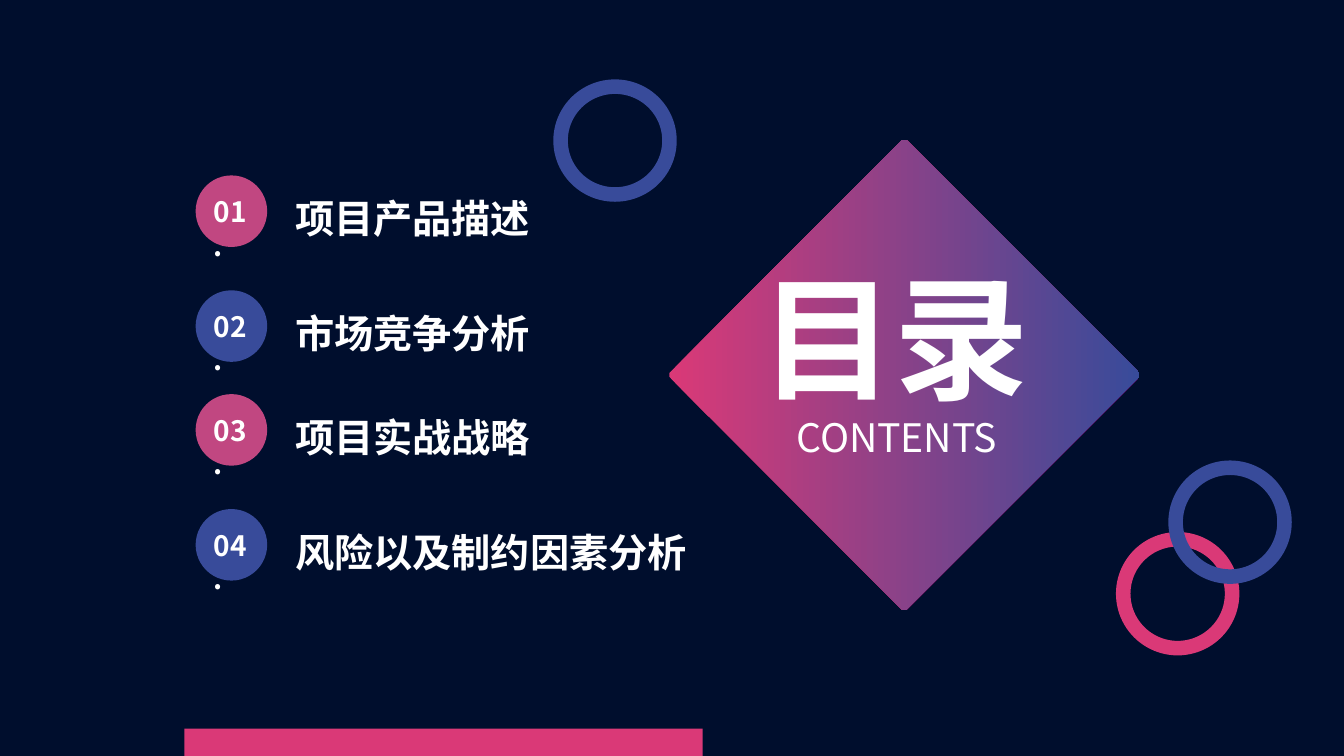
import dataclasses

import pptx
import pptx.dml.color
import pptx.enum.shapes
import pptx.enum.text
import pptx.oxml
import pptx.oxml.ns
import pptx.util

Inches = pptx.util.Inches
SHAPE = pptx.enum.shapes.MSO_SHAPE
ALIGN = pptx.enum.text.PP_ALIGN


@dataclasses.dataclass(frozen=True)
class Theme:
    font: str = "Noto Sans CJK SC"
    navy: str = "000E2D"
    pink: str = "DA3977"
    rose: str = "C14781"
    blue: str = "384B9A"
    white: str = "FFFFFF"
    title: int = 96
    body: int = 28
    label: int = 20
    ring: float = 10.38


@dataclasses.dataclass(frozen=True)
class Box:
    left: float
    top: float
    width: float
    height: float

    def emu(self) -> tuple:
        return tuple(Inches(v) for v in dataclasses.astuple(self))


@dataclasses.dataclass(frozen=True)
class Ring:
    box: Box
    color: str


@dataclasses.dataclass(frozen=True)
class Item:
    top: float
    text: str
    width: float
    color: str


THEME = Theme()
RINGS = [
    Ring(Box(5.56, 0.86, 1.08, 1.07), THEME.blue),
    Ring(Box(11.14, 5.35, 1.08, 1.08), THEME.pink),
    Ring(Box(11.66, 4.64, 1.08, 1.08), THEME.blue),
]
ITEMS = [
    Item(1.74, "项目产品描述", 2.56, THEME.rose),
    Item(2.88, "市场竞争分析", 2.56, THEME.blue),
    Item(3.91, "项目实战战略", 2.56, THEME.rose),
    Item(5.05, "风险以及制约因素分析", 4.13, THEME.blue),
]


def rgb(code: str) -> pptx.dml.color.RGBColor:
    return pptx.dml.color.RGBColor.from_string(code)


def write(shape, text: str, size: int, bold: bool = True,
          wrap: bool = True, align=ALIGN.LEFT) -> None:
    frame = shape.text_frame
    frame.text = text
    frame.word_wrap = wrap
    frame.auto_size = pptx.enum.text.MSO_AUTO_SIZE.SHAPE_TO_FIT_TEXT
    frame.vertical_anchor = pptx.enum.text.MSO_ANCHOR.TOP
    para = frame.paragraphs[0]
    para.alignment = align
    font = para.runs[0].font
    font.name, font.size, font.bold = THEME.font, pptx.util.Pt(size), bold
    font.color.rgb = rgb(THEME.white)
    # East Asian typeface follows the Latin one
    props = para.runs[0]._r.get_or_add_rPr()
    east = pptx.oxml.parse_xml(
        f'<a:ea {pptx.oxml.ns.nsdecls("a")} typeface="{THEME.font}"/>')
    props.find(pptx.oxml.ns.qn("a:latin")).addnext(east)


def label(slide, box: Box, text: str, size: int, **style) -> None:
    write(slide.shapes.add_textbox(*box.emu()), text, size, **style)


def solid(slide, kind, box: Box, color: str) -> None:
    shape = slide.shapes.add_shape(kind, *box.emu())
    shape.shadow.inherit = False
    shape.fill.solid()
    shape.fill.fore_color.rgb = rgb(color)
    shape.line.fill.background()


def circle(slide, ring: Ring) -> None:
    shape = slide.shapes.add_shape(SHAPE.OVAL, *ring.box.emu())
    shape.shadow.inherit = False
    shape.fill.background()
    shape.line.color.rgb = rgb(ring.color)
    shape.line.width = pptx.util.Pt(THEME.ring)


def diamond(slide, mid_x: float, mid_y: float) -> None:
    # One rounded tip, turned a quarter three times
    tip = [(-0.06, -2.29), (-0.04, -2.31), (-0.02, -2.33),
           (0.02, -2.33), (0.04, -2.31), (0.06, -2.29)]
    points = []
    for _ in range(4):
        points += [(Inches(mid_x + x), Inches(mid_y + y)) for x, y in tip]
        tip = [(-y, x) for x, y in tip]
    pen = slide.shapes.build_freeform(*points[0])
    pen.add_line_segments(points[1:], close=True)
    shape = pen.convert_to_shape()
    shape.shadow.inherit = False
    shape.line.fill.background()
    shape.fill.gradient()
    shape.fill.gradient_angle = 0
    for stop, color, place in zip(shape.fill.gradient_stops,
                                  (THEME.pink, THEME.blue), (0, 1)):
        stop.color.rgb = rgb(color)
        stop.position = place


def entry(slide, index: int, item: Item) -> None:
    top = item.top + 0.14
    solid(slide, SHAPE.OVAL, Box(1.94, item.top, 0.71, 0.71), item.color)
    label(slide, Box(2.83, top, item.width, 0.57), item.text, THEME.body,
          wrap=False)
    label(slide, Box(2.02, top, 0.6, 0.44), f"{index:02}.", THEME.label)


def main() -> None:
    deck = pptx.Presentation()
    deck.slide_width, deck.slide_height = Inches(13.33), Inches(7.5)
    slide = deck.slides.add_slide(deck.slide_layouts[5])
    slide.background.fill.solid()
    slide.background.fill.fore_color.rgb = rgb(THEME.navy)

    # Decoration
    diamond(slide, 8.97, 3.72)
    for ring in RINGS:
        circle(slide, ring)
    solid(slide, SHAPE.RECTANGLE, Box(1.83, 7.23, 5.14, 0.27), THEME.pink)

    # Contents list
    for index, item in enumerate(ITEMS, 1):
        entry(slide, index, item)

    # Title, raised above the diamond
    title = slide.shapes.title
    title.left, title.top, title.width, title.height = Box(
        7.44, 2.48, 3.06, 1.72).emu()
    write(title, "目录", THEME.title)
    title.element.getparent().append(title.element)
    label(slide, Box(7.8, 4.05, 2.34, 0.57), "CONTENTS", THEME.body,
          bold=False, align=ALIGN.JUSTIFY)

    deck.save("out.pptx")


if __name__ == "__main__":
    main()
